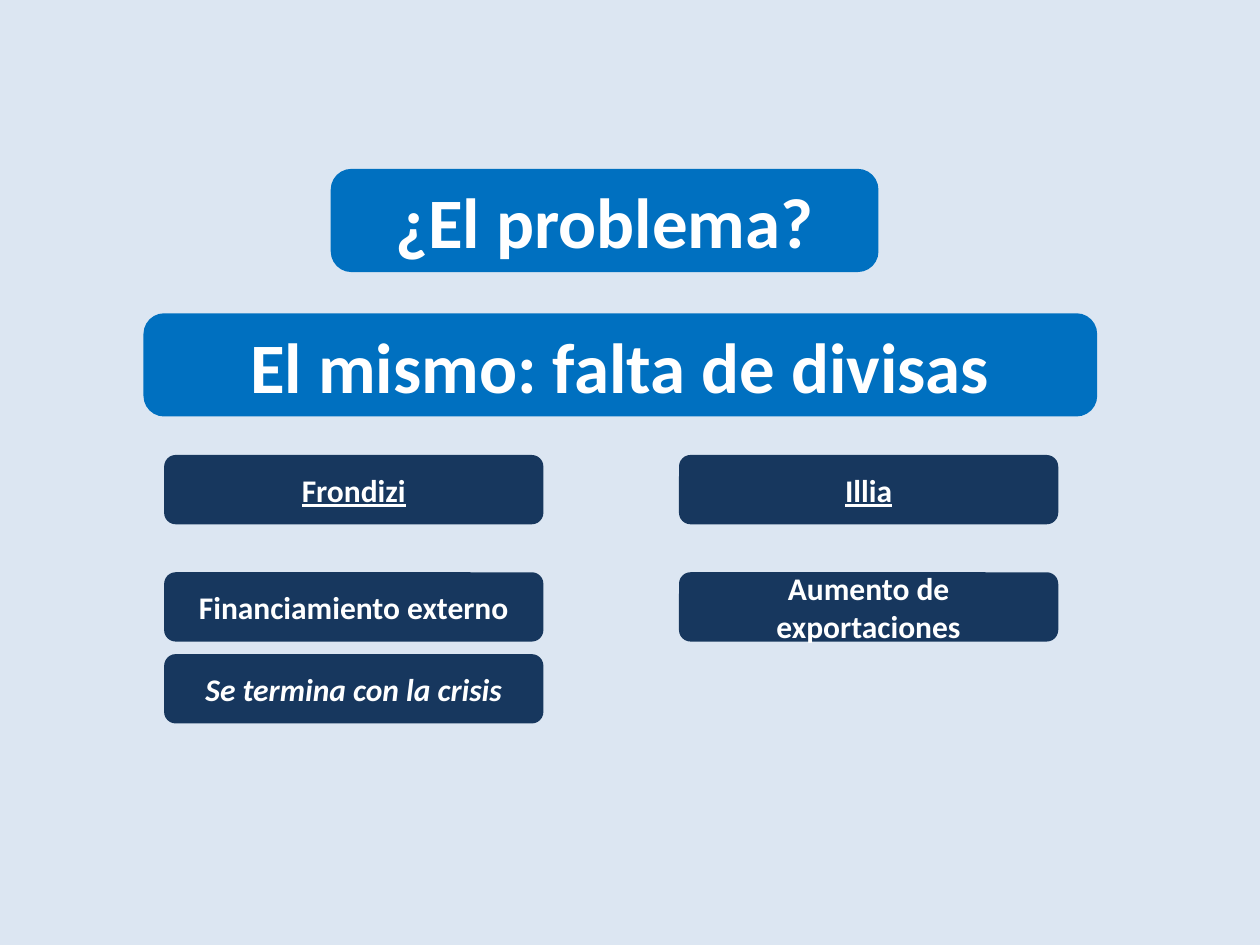
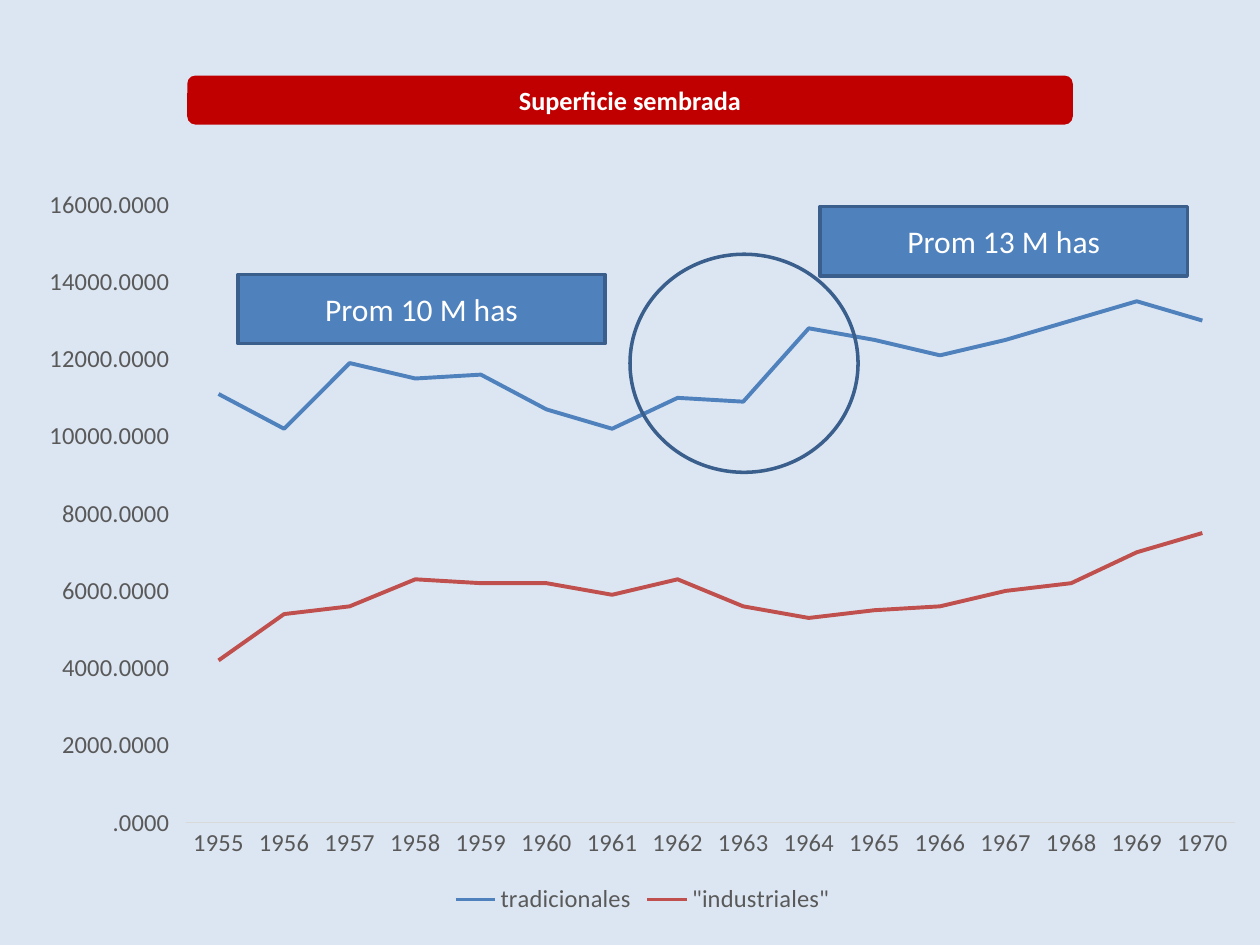
from lxml import etree
from pptx import Presentation
from pptx import util as u
from pptx.chart import data
from pptx.dml import color
from pptx.enum import chart as ch, shapes, text
from pptx.oxml import ns

Pt = u.Pt
KIND = shapes.MSO_SHAPE
FONT = "Calibri"
HUES = {"back": "DCE6F2", "head": "0070C0", "navy": "17375E", "red": "C00000",
        "blue": "4F81BD", "edge": "3A5F8C", "rust": "C0504D",
        "gray": "595959", "rule": "D9D9D9", "white": "FFFFFF"}
YEARS = [str(year) for year in range(1955, 1971)]
CROPS = [
    ("tradicionales", "blue",
     [11100, 10200, 11900, 11500, 11600, 10700, 10200, 11000,
      10900, 12800, 12500, 12100, 12500, 13000, 13500, 13000]),
    ('"industriales"', "rust",
     [4200, 5400, 5600, 6300, 6200, 6200, 5900, 6300,
      5600, 5300, 5500, 5600, 6000, 6200, 7000, 7500]),
]


def hue(name):
    return color.RGBColor.from_string(HUES[name])


def style(font, size, name, **marks):
    font.name, font.size = FONT, Pt(size)
    font.color.rgb = hue(name)
    for mark, value in marks.items():
        setattr(font, mark, value)


def new_slide(deck):
    slide = deck.slides.add_slide(deck.slide_layouts[6])
    slide.background.fill.solid()
    slide.background.fill.fore_color.rgb = hue("back")
    return slide


def add_box(slide, kind, box, fill=None, edge=None):
    shape = slide.shapes.add_shape(kind, *map(Pt, box))
    shape.shadow.inherit = False
    if fill:
        shape.fill.solid()
        shape.fill.fore_color.rgb = hue(fill)
    else:
        shape.fill.background()
    if edge:
        shape.line.color.rgb = hue(edge)
        shape.line.width = Pt(2)
    else:
        shape.line.fill.background()
    return shape


def add_label(shape, words, size, **marks):
    frame = shape.text_frame
    frame.word_wrap = True
    frame.vertical_anchor = text.MSO_ANCHOR.MIDDLE
    para = frame.paragraphs[0]
    para.alignment = text.PP_ALIGN.CENTER
    run = para.add_run()
    run.text = words
    style(run.font, size, "white", **marks)


def add_band(slide, box, words, fill, size, **marks):
    shape = add_box(slide, KIND.ROUNDED_RECTANGLE, box, fill)
    add_label(shape, words, size, bold=True, **marks)
    return shape


def add_head(slide, box, words):
    add_band(slide, box, words, "head", 40.5).adjustments[0] = 0.2


def add_column(slide, box, items):
    left, top, width = box
    for drop, (words, marks) in zip((0, 67, 113.8), items):
        add_band(slide, (left, top + drop, width, 39.6), words, "navy", 18, **marks)


def add_note(slide, box, words):
    shape = add_box(slide, KIND.RECTANGLE, box, "blue", "edge")
    add_label(shape, words, 18)


def set_plot(chart, x, y, w, h):
    area = chart._chartSpace.chart.plotArea
    for old in area.findall(ns.qn("c:layout")):
        area.remove(old)
    layout = etree.Element(ns.qn("c:layout"))
    manual = etree.SubElement(layout, ns.qn("c:manualLayout"))
    parts = {"layoutTarget": "inner", "xMode": "edge", "yMode": "edge",
             "x": x, "y": y, "w": w, "h": h}
    for tag, value in parts.items():
        etree.SubElement(manual, ns.qn("c:" + tag)).set("val", str(value))
    area.insert(0, layout)


def add_lines(slide, box):
    table = data.CategoryChartData()
    table.categories = YEARS
    for name, _, values in CROPS:
        table.add_series(name, values)
    chart = slide.shapes.add_chart(ch.XL_CHART_TYPE.LINE, *map(Pt, box), table).chart
    style(chart.font, 14, "gray")
    chart.has_title = False
    chart.has_legend = True
    chart.legend.position = ch.XL_LEGEND_POSITION.BOTTOM
    chart.legend.include_in_layout = False
    style(chart.legend.font, 14, "gray")
    for axis in (chart.category_axis, chart.value_axis):
        axis.has_major_gridlines = False
        axis.major_tick_mark = axis.minor_tick_mark = ch.XL_TICK_MARK.NONE
        style(axis.tick_labels.font, 14, "gray")
    chart.category_axis.format.line.color.rgb = hue("rule")
    chart.category_axis.format.line.width = Pt(0.75)
    scale = chart.value_axis
    scale.format.line.fill.background()
    scale.minimum_scale, scale.maximum_scale, scale.major_unit = 0, 16000, 2000
    scale.tick_labels.number_format = r"#.##00\ \ "
    scale.tick_labels.number_format_is_linked = False
    plot = chart.plots[0]
    plot.vary_by_categories = False
    for series, (_, name, _) in zip(plot.series, CROPS):
        series.smooth = False
        series.marker.style = ch.XL_MARKER_STYLE.NONE
        series.format.line.color.rgb = hue(name)
        series.format.line.width = Pt(2.25)
    set_plot(chart, 0.13, 0.04, 0.85, 0.83)


def add_causes(deck):
    slide = new_slide(deck)
    add_head(slide, (189, 96.5, 313, 59), "¿El problema?")
    add_head(slide, (82, 179, 545, 59), "El mismo: falta de divisas")
    add_column(slide, (93.8, 260, 216.7), [
        ("Frondizi", {"underline": True}),
        ("Financiamiento externo", {}),
        ("Se termina con la crisis", {"italic": True})])
    add_column(slide, (388, 260, 216.7), [
        ("Illia", {"underline": True}),
        ("Aumento de exportaciones", {})])


def add_crops(deck):
    slide = new_slide(deck)
    add_band(slide, (107, 43.2, 506, 28), "Superficie sembrada", "red", 15)
    add_lines(slide, (14.4, 100, 705.6, 425.5))
    add_box(slide, KIND.OVAL, (360, 145.3, 130.3, 124.6), edge="edge")
    add_note(slide, (136, 156.8, 209.8, 39.6), "Prom 10 M has")
    add_note(slide, (468.7, 118, 209.8, 39.6), "Prom 13 M has")


def main():
    deck = Presentation()
    deck.slide_width, deck.slide_height = Pt(720), Pt(540)
    add_causes(deck)
    add_crops(deck)
    deck.save("out.pptx")


if __name__ == "__main__":
    main()
